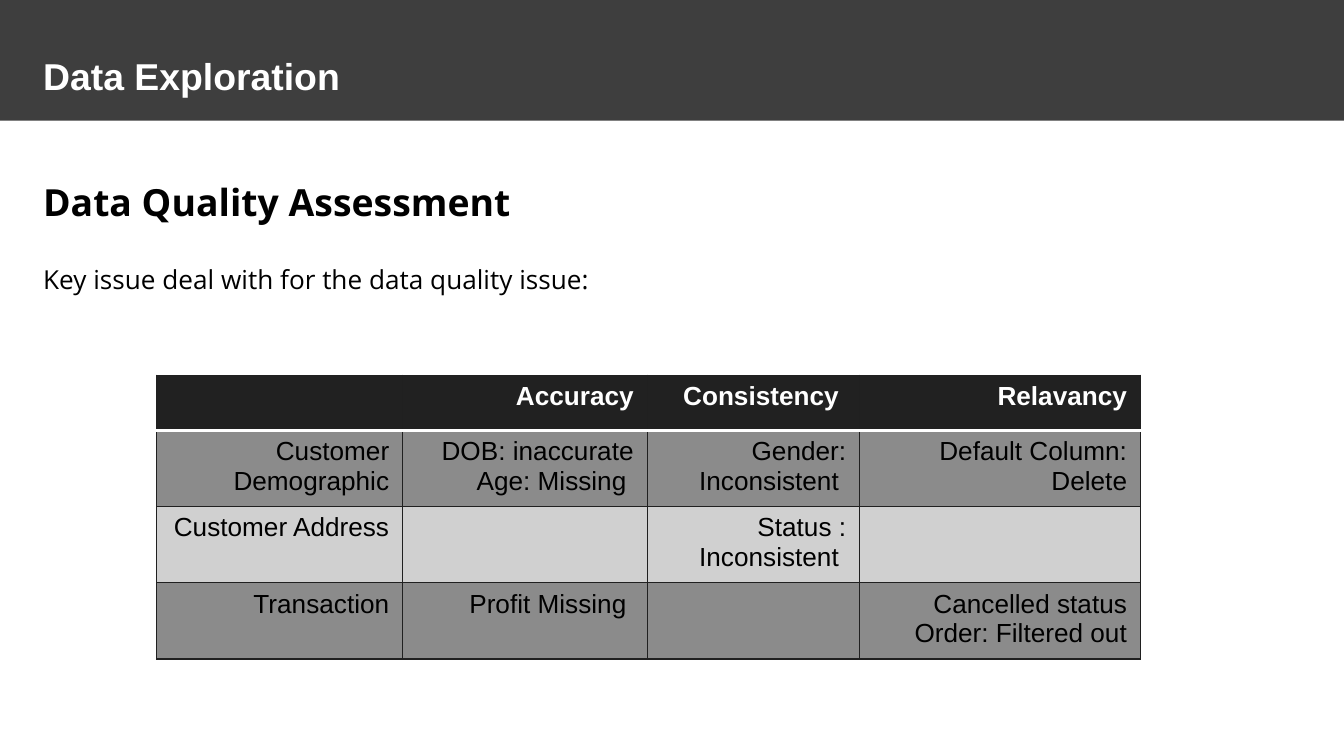
from dataclasses import dataclass

from lxml import etree
from pptx import Presentation
from pptx.dml.color import RGBColor
from pptx.enum.shapes import MSO_SHAPE
from pptx.enum.text import MSO_AUTO_SIZE, PP_ALIGN
from pptx.oxml.ns import qn
from pptx.util import Pt

RECT = MSO_SHAPE.RECTANGLE
GROW = MSO_AUTO_SIZE.SHAPE_TO_FIT_TEXT
RIGHT = PP_ALIGN.RIGHT

COLORS = {
    "banner": "3E3E3E",
    "header": "212121",
    "band": "8B8B8B",
    "plain": "D0D0D0",
    "line": "202020",
    "white": "FFFFFF",
    "black": "000000",
}
INSETS = {
    "margin_left": Pt(7.2),
    "margin_right": Pt(7.2),
    "margin_top": Pt(7.2),
    "margin_bottom": Pt(7.2),
}


@dataclass
class Label:
    text: str
    top: float
    width: float
    height: float
    font: dict
    color: str
    spacing: float = 1.0


@dataclass
class RowStyle:
    fill: str
    color: str
    bold: bool
    top: tuple
    bottom: tuple


def rgb(name: str) -> RGBColor:
    return RGBColor.from_string(COLORS[name])


def set_attrs(target, values: dict) -> None:
    for name, value in values.items():
        setattr(target, name, value)


def add_run(p, text: str, font: dict, color: str) -> None:
    r = p.add_run()
    r.text = text
    set_attrs(r.font, font)
    r.font.color.rgb = rgb(color)


def add_label(s, label: Label) -> None:
    sp = s.shapes.add_textbox(Pt(16), Pt(label.top), Pt(label.width), Pt(label.height))
    tf = sp.text_frame
    set_attrs(tf, INSETS | {"word_wrap": True, "auto_size": GROW})
    p = tf.paragraphs[0]
    p.line_spacing = label.spacing
    add_run(p, label.text, label.font, label.color)


def add_border(cell, side: str, color: str, width: float) -> None:
    tc_pr = cell._tc.get_or_add_tcPr()
    ln = etree.SubElement(tc_pr, qn(f"a:{side}"), w=str(Pt(width)))
    fill = etree.SubElement(ln, qn("a:solidFill"))
    etree.SubElement(fill, qn("a:srgbClr"), val=COLORS[color])


def fill_cell(cell, lines: list[str], style: RowStyle) -> None:
    borders = {"lnL": THIN, "lnR": THIN, "lnT": style.top, "lnB": style.bottom}
    for side, (color, width) in borders.items():
        add_border(cell, side, color, width)
    cell.fill.solid()
    cell.fill.fore_color.rgb = rgb(style.fill)
    tf = cell.text_frame
    for i, line in enumerate(lines):
        p = tf.add_paragraph() if i else tf.paragraphs[0]
        p.alignment = RIGHT
        font = {"name": "Arial", "size": Pt(14), "bold": style.bold}
        add_run(p, line, font, style.color)


THIN = ("line", 0.75)
THICK = ("white", 2)

LABELS = [
    Label("Data Exploration", 21, 675, 37,
          {"name": "Arial", "size": Pt(20), "bold": True}, "white"),
    Label("Data Quality Assessment", 85, 675, 40,
          {"name": "Open Sans", "size": Pt(20), "bold": True}, "black", 1.15),
    Label("Key issue deal with for the data quality issue:", 131.5, 325.5, 33,
          {"name": "Open Sans", "size": Pt(14), "bold": False}, "black", 1.15),
]

COL_WIDTHS = [131.8, 131, 113.8, 150.5]
ROW_HEIGHT = 29.5
ISSUES = [
    [[], ["Accuracy"], ["Consistency "], ["Relavancy"]],
    [["Customer Demographic"], ["DOB: inaccurate", "Age: Missing "],
     ["Gender: Inconsistent "], ["Default Column: Delete"]],
    [["Customer Address"], [], ["Status : Inconsistent "], []],
    [["Transaction"], ["Profit Missing "], [],
     ["Cancelled status Order: Filtered out"]],
]
ROW_STYLES = [
    RowStyle("header", "white", True, THIN, THICK),
    RowStyle("band", "black", False, THICK, THIN),
    RowStyle("plain", "black", False, THIN, THIN),
    RowStyle("band", "black", False, THIN, THIN),
]

prs = Presentation()
prs.slide_width, prs.slide_height = Pt(720), Pt(405)
s = prs.slides.add_slide(prs.slide_layouts[6])

# Banner
sp = s.shapes.add_shape(RECT, Pt(-1.5), Pt(-1.5), Pt(723.5), Pt(66.2))
sp.shadow.inherit = False
sp.fill.solid()
sp.fill.fore_color.rgb = rgb("banner")
sp.line.fill.background()

# Headings
for label in LABELS:
    add_label(s, label)

# Data quality table
table = s.shapes.add_table(
    len(ISSUES), len(COL_WIDTHS), Pt(84), Pt(201),
    Pt(sum(COL_WIDTHS)), Pt(ROW_HEIGHT * len(ISSUES))).table
set_attrs(table, {"first_row": False, "horz_banding": False})
for column, width in zip(table.columns, COL_WIDTHS):
    column.width = Pt(width)
for row, issues, style in zip(table.rows, ISSUES, ROW_STYLES):
    row.height = Pt(ROW_HEIGHT)
    for cell, lines in zip(row.cells, issues):
        fill_cell(cell, lines, style)

prs.save("out.pptx")
